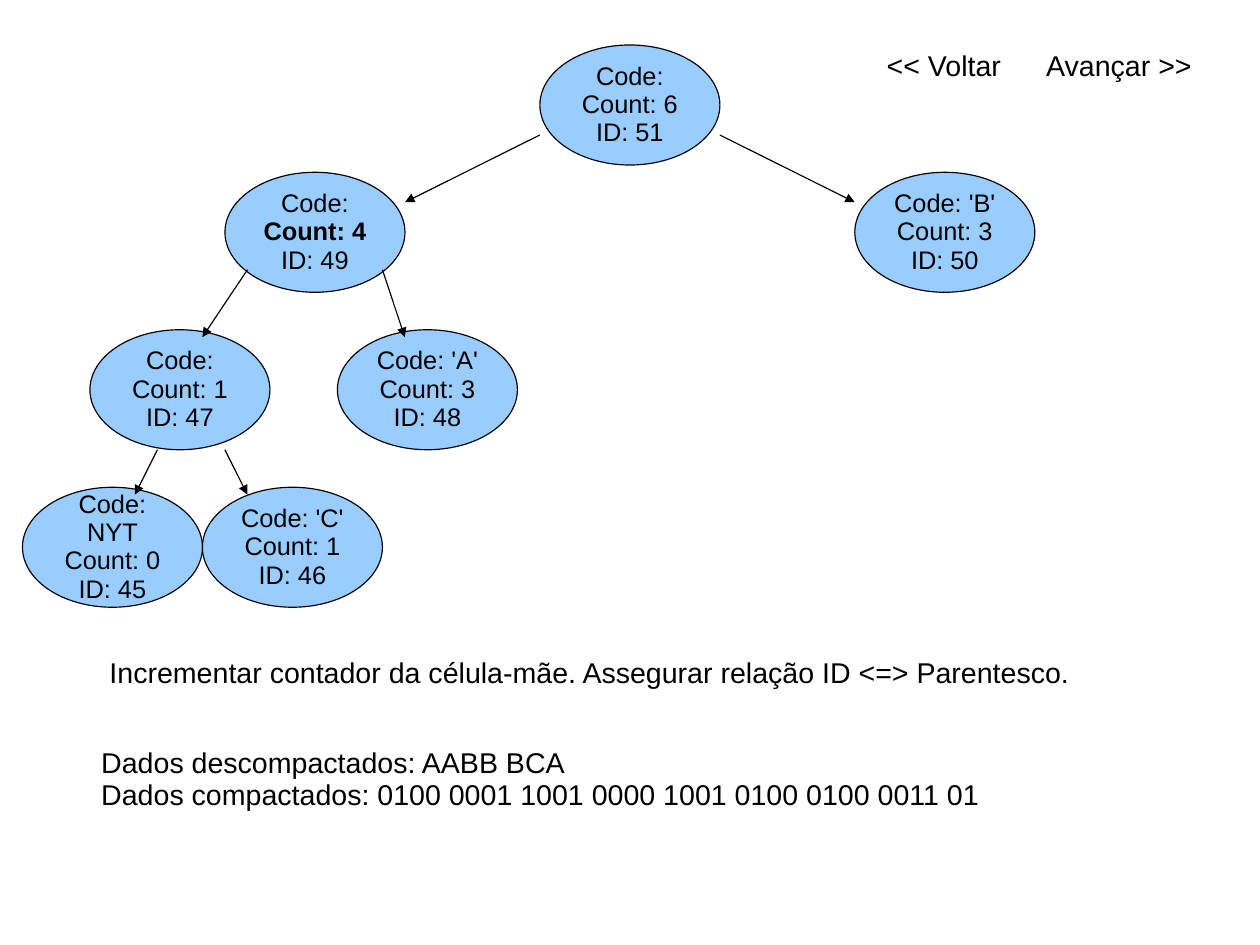
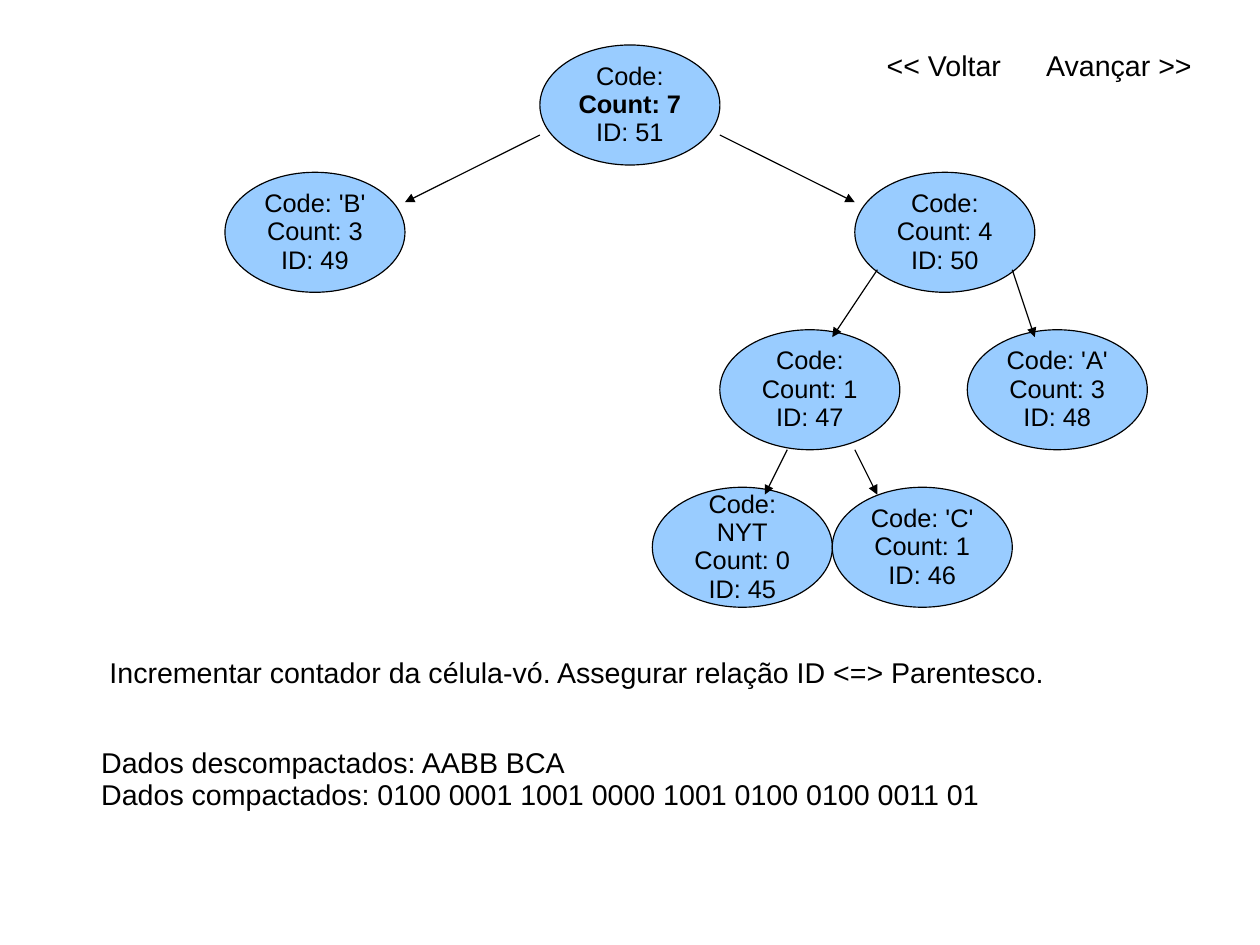
from dataclasses import dataclass

from lxml import etree
from pptx import Presentation
from pptx.dml.color import RGBColor
from pptx.enum import shapes, text
from pptx.oxml import ns
from pptx.util import Pt


@dataclass(frozen=True)
class Theme:
    font: str = "Arial"
    ink: RGBColor = RGBColor(0, 0, 0)
    cell: RGBColor = RGBColor(0x99, 0xCC, 0xFF)
    small: int = 16
    body: int = 18
    lead: float = 0.93
    line: float = 0.75


THEME = Theme()
SIZE = (793.75, 595.25)
LEFT, RIGHT, MID = text.PP_ALIGN.LEFT, text.PP_ALIGN.RIGHT, text.PP_ALIGN.CENTER

# Content: a cell is (code, count, id, children)
LEAVES = [("NYT", 0, 45, []), ("'C'", 1, 46, [])]
PAIR = [("", 1, 47, LEAVES), ("'A'", 3, 48, [])]
SLIDES = [
    {"tree": ("", 6, 51, [("", 4, 49, PAIR), ("'B'", 3, 50, [])]),
     "bold": 49,
     "step": "Incrementar contador da célula-mãe. Assegurar relação ID <=> Parentesco."},
    {"tree": ("", 7, 51, [("'B'", 3, 49, []), ("", 4, 50, PAIR)]),
     "bold": 51,
     "step": "Incrementar contador da célula-vó. Assegurar relação ID <=> Parentesco."},
]
DATA = ["Dados descompactados: AABB BCA",
        "Dados compactados: 0100 0001 1001 0000 1001 0100 0100 0011 01"]

# Shared text boxes: lines, left, top, width, height, alignment
SHARED = [
    (DATA, 56.7, 467.7, 652, 47.5, LEFT),
    (["<< Voltar"], 538.5, 28.35, 99.2, 27.4, RIGHT),
    (["Avançar >>"], 651.9, 28.35, 113.4, 27.4, LEFT),
]

# Tree layout
WIDE, HIGH = 113.4, 75.6
START = 340.1
TOPS = [28.35, 108.5, 207.7, 306.9]
# Per level: child offsets, then arrow start in parent and end in child per side
STEPS = [
    ((-198.4, 198.4), ((0, 56.7), (WIDE, 56.7)), ((WIDE, 18.9), (0, 18.9))),
    ((-85.05, 70.85), ((14.2, 61.4), (99.2, 61.4)), ((70.85, 4.7), (42.5, 4.7))),
    ((-42.5, 70.85), ((42.5, HIGH), (85.05, HIGH)), ((70.85, 4.7), (28.35, 4.7))),
]


def write(frame, lines, size, align, bold=None):
    frame.word_wrap = True
    for i, line in enumerate(lines):
        para = frame.paragraphs[0] if i == 0 else frame.add_paragraph()
        para.text = line
        para.alignment = align
        para.line_spacing = THEME.lead
        font = para.font
        font.name, font.size, font.bold = THEME.font, Pt(size), i == bold
        font.color.rgb = THEME.ink


def label(slide, lines, x, y, w, h, align):
    box = slide.shapes.add_textbox(Pt(x), Pt(y), Pt(w), Pt(h))
    write(box.text_frame, lines, THEME.body, align)


def arrow(slide, *ends):
    link = slide.shapes.add_connector(
        shapes.MSO_CONNECTOR.STRAIGHT, *(Pt(v) for v in ends))
    link.line.color.rgb = THEME.ink
    link.line.width = Pt(THEME.line)
    edge = link.line.fill._xPr
    etree.SubElement(edge, ns.qn("a:tailEnd"), type="triangle")
    etree.SubElement(link._element.spPr, ns.qn("a:effectLst"))


def branch(slide, cell, bold, x, level=0):
    """Draw a cell, its children and the arrows to them."""
    code, count, ident, kids = cell
    y = TOPS[level]
    oval = slide.shapes.add_shape(
        shapes.MSO_SHAPE.OVAL, Pt(x), Pt(y), Pt(WIDE), Pt(HIGH))
    oval.shadow.inherit = False
    oval.fill.solid()
    oval.fill.fore_color.rgb = THEME.cell
    oval.line.color.rgb = THEME.ink
    oval.line.width = Pt(THEME.line)
    oval.text_frame.vertical_anchor = text.MSO_ANCHOR.MIDDLE
    lines = [f"Code: {code}".strip(), f"Count: {count}", f"ID: {ident}"]
    write(oval.text_frame, lines, THEME.small, MID, 1 if ident == bold else None)
    if kids:
        for kid, shift, start, end in zip(kids, *STEPS[level]):
            branch(slide, kid, bold, x + shift, level + 1)
            arrow(slide, x + start[0], y + start[1],
                  x + shift + end[0], TOPS[level + 1] + end[1])


def main():
    deck = Presentation()
    deck.slide_width, deck.slide_height = (Pt(v) for v in SIZE)
    for page in SLIDES:
        slide = deck.slides.add_slide(deck.slide_layouts[6])
        branch(slide, page["tree"], page["bold"], START)
        label(slide, [page["step"]], 61.9, 410.7, 620, 27.4, LEFT)
        for item in SHARED:
            label(slide, *item)
    deck.save("out.pptx")


if __name__ == "__main__":
    main()
